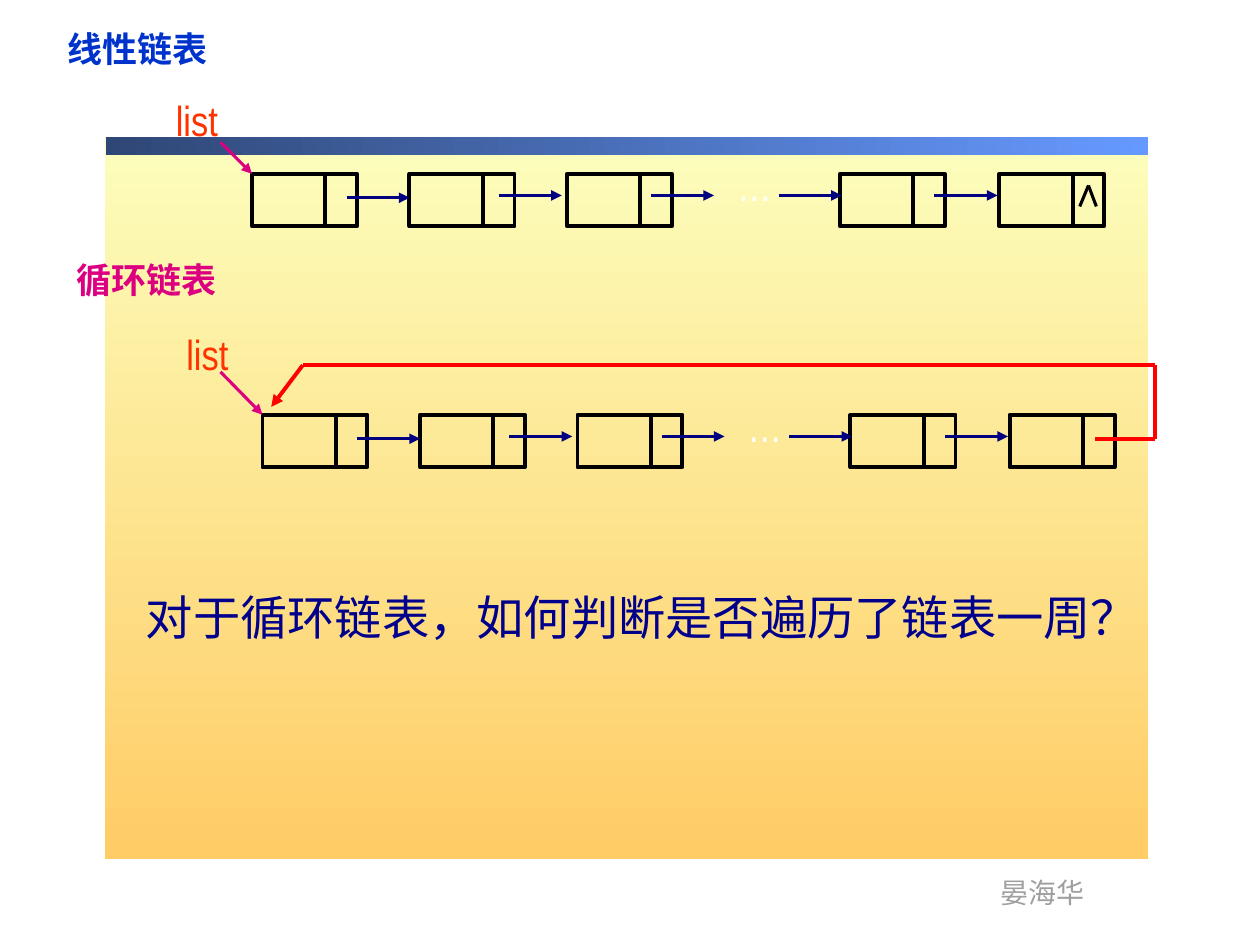
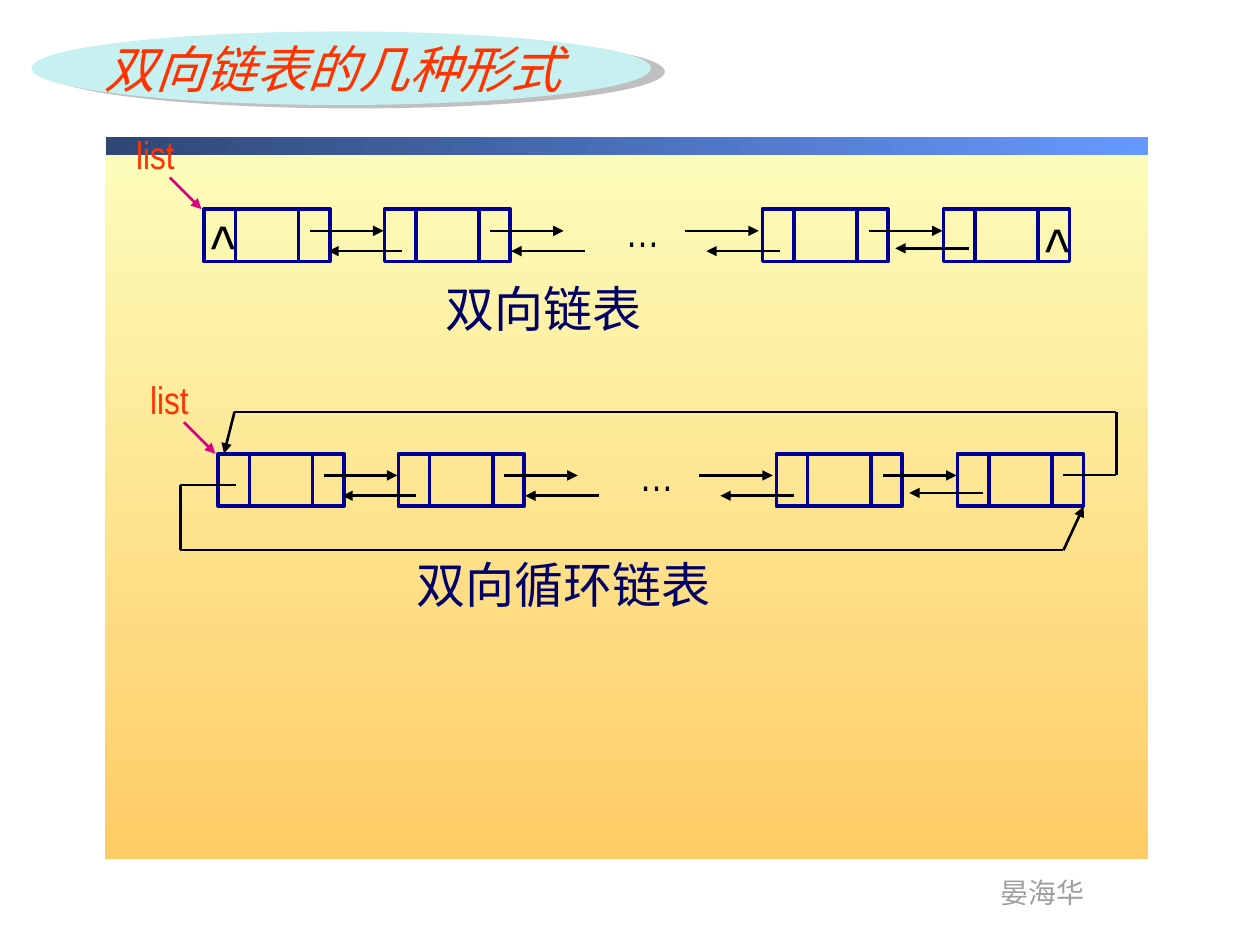
import itertools

import pptx
import pptx.dml.color
import pptx.enum.shapes
import pptx.enum.text
import pptx.oxml
import pptx.oxml.ns
import pptx.util
from lxml import etree

Pt = pptx.util.Pt
rgb = pptx.dml.color.RGBColor.from_string
qn = pptx.oxml.ns.qn
SHAPE = pptx.enum.shapes.MSO_SHAPE
ALIGN = pptx.enum.text.PP_ALIGN

LATIN_FONT = "Arial Narrow"
CHINESE_FONT = "Noto Sans CJK SC"
BLACK, NAVY, RED, PINK, ORANGE = "000000", "000080", "FF0000", "DC0081", "FF3300"


def add_label(slide, text, left, top, width, height, color, centred=False, wrap=False, **font_values):
    box = slide.shapes.add_textbox(Pt(left), Pt(top), Pt(width), Pt(height))
    box.text_frame.word_wrap = wrap
    paragraph = box.text_frame.paragraphs[0]
    paragraph.alignment = ALIGN.CENTER if centred else ALIGN.LEFT
    run = paragraph.add_run()
    run.text = text
    for attribute, value in {"name": LATIN_FONT, **font_values}.items():
        setattr(run.font, attribute, value)
    run.font.color.rgb = rgb(color)
    if max(text) >= "一":
        east_asian = etree.SubElement(run.font._element, qn("a:ea"))
        east_asian.set("typeface", CHINESE_FONT)


def add_path(slide, points, color, weight, arrow=True):
    """Join the points with straight lines, the last one ending in an arrowhead."""
    for start, end in itertools.pairwise(points):
        line = slide.shapes.add_connector(
            pptx.enum.shapes.MSO_CONNECTOR.STRAIGHT, *[Pt(value) for value in (*start, *end)])
        line.line.color.rgb = rgb(color)
        line.line.width = Pt(weight)
        if arrow and end == points[-1]:
            etree.SubElement(line.line._get_or_add_ln(), qn("a:tailEnd"), type="triangle")
        etree.SubElement(line._element.spPr, qn("a:effectLst"))


presentation = pptx.Presentation()
presentation.slide_width, presentation.slide_height = Pt(720), Pt(540)
blank = presentation.slide_layouts[6]
single_slide = presentation.slides.add_slide(blank)
double_slide = presentation.slides.add_slide(blank)

# Shared background panel, band and footer
panels = [
    ((60, 79, 596, 412), ("FCFEBC", "FFCC66"), 270),
    ((60.5, 78, 595.5, 10.8), ("2F4776", "6699FF"), 0),
]
for slide in presentation.slides:
    for place, colors, angle in panels:
        panel = slide.shapes.add_shape(SHAPE.RECTANGLE, *[Pt(value) for value in place])
        panel.shadow.inherit = False
        panel.line.fill.background()
        panel.fill.gradient()
        panel.fill.gradient_angle = angle
        for stop, color, position in zip(panel.fill.gradient_stops, colors, (0, 1)):
            stop.color.rgb = rgb(color)
            stop.position = position
    add_label(slide, "晏海华", 564.5, 496.8, 63, 26.6, "9F9F9F", size=Pt(16))

# The two kinds of list; every place is relative to the first node
CELL_HEIGHT = 30
single_list = {
    "nodes": [0, 90, 180, 336, 427],
    "cells": [(0, 42), (42, 18)],
    "cell_line": ("000000", 2.25),
    "arrows": [(54, 13.7, 36), (141, 12.4, 36), (228, 12.4, 36), (301, 12.4, 36), (390, 12.4, 36)],
    "arrow_line": (NAVY, 2),
    "ellipsis": (268, -11.5, 38, 36, "FFFFFF"),
    "list_size": (45, 36, 24),
    "pointer_line": (PINK, 1.75),
}
double_list = {
    "nodes": [0, 103, 319, 422.5],
    "cells": [(0, 18), (18, 36), (54, 18)],
    "cell_line": ("000099", 2),
    "arrows": [(60.5, 12.4, 42), (163.5, 12.4, 42), (275, 12.4, 42), (380, 12.4, 42),
               (113, 24, -42), (217.5, 24, -42), (329, 24, -42), (437, 22.4, -42)],
    "arrow_line": (BLACK, 1.5),
    "ellipsis": (233.3, -5.8, 34.5, 36.7, BLACK),
    "list_size": (42.5, 34, 22),
    "pointer_line": (PINK, 1.5),
}

# slide, kind, first node, "list" label, pointer start, pointer end
rows = [
    (single_slide, single_list, (144, 99.3), (-54, -49), (-18, -18), (0, 0)),
    (single_slide, single_list, (150, 237), (-54, -52.6), (-24, -24.5), (0, 0)),
    (double_slide, double_list, (116.6, 119.5), (-49, -48), (-19.5, -18), (-1.5, 0)),
    (double_slide, double_list, (124.6, 259.3), (-49, -48), (-19.5, -18), (-1.5, 0)),
]
for slide, kind, (x, y), list_at, pointer_start, pointer_end in rows:
    for node, (offset, width) in itertools.product(kind["nodes"], kind["cells"]):
        cell = slide.shapes.add_shape(
            SHAPE.RECTANGLE, Pt(x + node + offset), Pt(y), Pt(width), Pt(CELL_HEIGHT))
        cell.shadow.inherit = False
        cell.fill.background()
        color, weight = kind["cell_line"]
        cell.line.color.rgb = rgb(color)
        cell.line.width = Pt(weight)
    for start, drop, length in kind["arrows"]:
        add_path(slide, [(x + start, y + drop), (x + start + length, y + drop)], *kind["arrow_line"])
    left, top, width, height, color = kind["ellipsis"]
    add_label(slide, "…", x + left, y + top, width, height, color, centred=True, size=Pt(24))
    width, height, size = kind["list_size"]
    add_label(slide, "list", x + list_at[0], y + list_at[1], width, height, ORANGE,
              centred=True, size=Pt(size))
    pointer = [(x + dx, y + dy) for dx, dy in (pointer_start, pointer_end)]
    add_path(slide, pointer, *kind["pointer_line"])

# Slide 1: null mark, closing link, headings and question
add_path(single_slide, [(617, 118), (622, 106), (626.5, 118)], BLACK, 1.75, arrow=False)
add_path(single_slide, [(625.7, 251), (660, 251), (660, 208.7), (173, 208.7), (155, 232.5)], RED, 2.25)
for heading, left, top, color in [("线性链表", 31.7, 12.2, "0033CC"), ("循环链表", 36.7, 144, PINK)]:
    add_label(single_slide, heading, left, top, 150, 31.7, color, wrap=True, size=Pt(20), bold=True)
add_label(single_slide, "对于循环链表，如何判断是否遍历了链表一周？", 76.3, 332.6, 627, 39.6, "00008C",
          wrap=True, size=Pt(27), name=CHINESE_FONT)

# Slide 2: null marks, closing links, captions and title
for left, top in [(113, 115.2), (589.7, 116.6)]:
    add_label(double_slide, "^", left, top, 28.8, 51, BLACK, centred=True, size=Pt(36))
closing_links = [
    [(607.7, 271.5), (638, 271.5), (638, 235.4), (134, 235.4), (128, 259.2)],
    [(134.6, 277.2), (103, 277.2), (103, 314.4), (607.7, 314.4), (619.2, 289.5)],
]
for link in closing_links:
    add_path(double_slide, link, BLACK, 1.5)
for caption, left, top in [("双向链表", 247.7, 155.5), ("双向循环链表", 231, 313.2)]:
    add_label(double_slide, caption, left, top, 300, 41, "000066", wrap=True, size=Pt(28))

title_oval = double_slide.shapes.add_shape(SHAPE.OVAL, Pt(18), Pt(18), Pt(354), Pt(42))
title_oval.fill.solid()
title_oval.fill.fore_color.rgb = rgb("C7F1F0")
title_oval.line.fill.background()
title_oval.shadow.inherit = False
effects = title_oval._element.spPr.find(qn("a:effectLst"))
oval_shadow = etree.SubElement(effects, qn("a:outerShdw"), dist=str(Pt(8.2)), dir=str(14 * 60000),
                               algn="ctr", rotWithShape="0")
etree.SubElement(oval_shadow, qn("a:srgbClr"), val="C0C0C0")
add_label(double_slide, "双向链表的几种形式", 52.6, 18, 293.8, 42, ORANGE,
          wrap=True, size=Pt(29), italic=True)

presentation.save("out.pptx")
